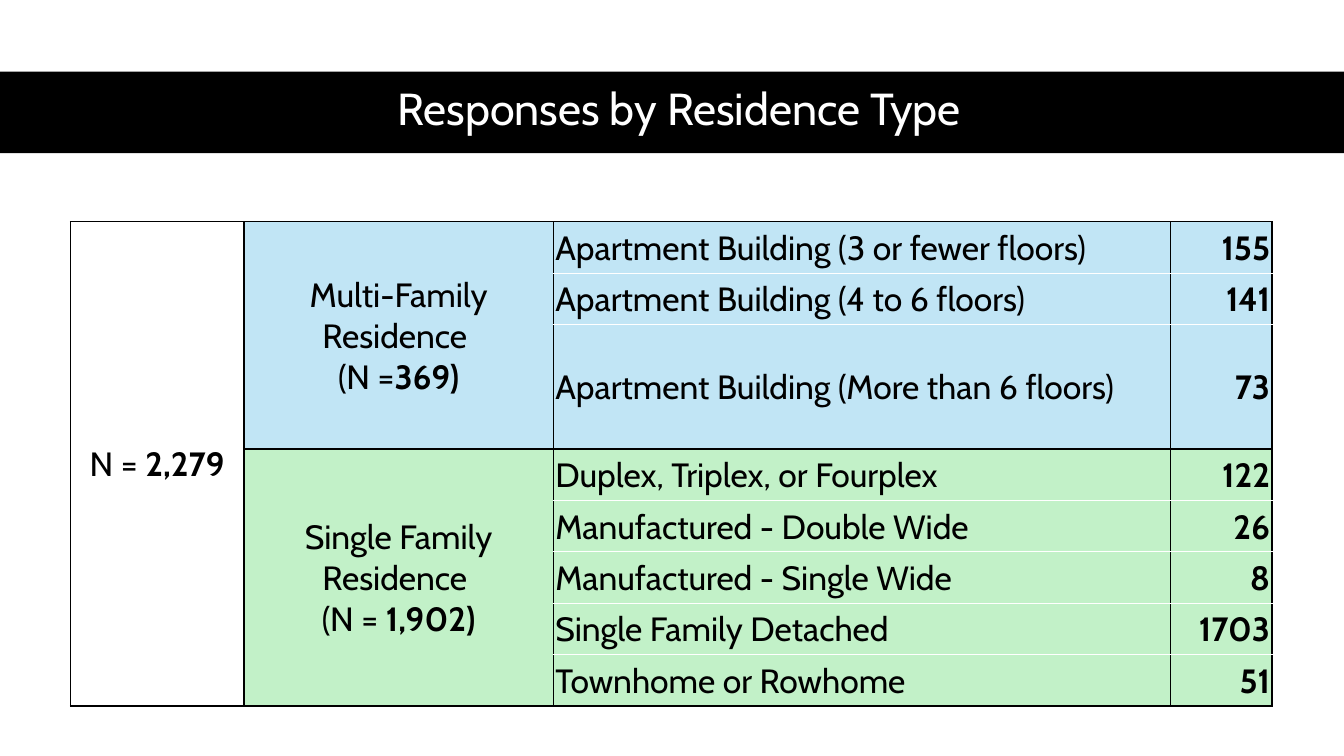
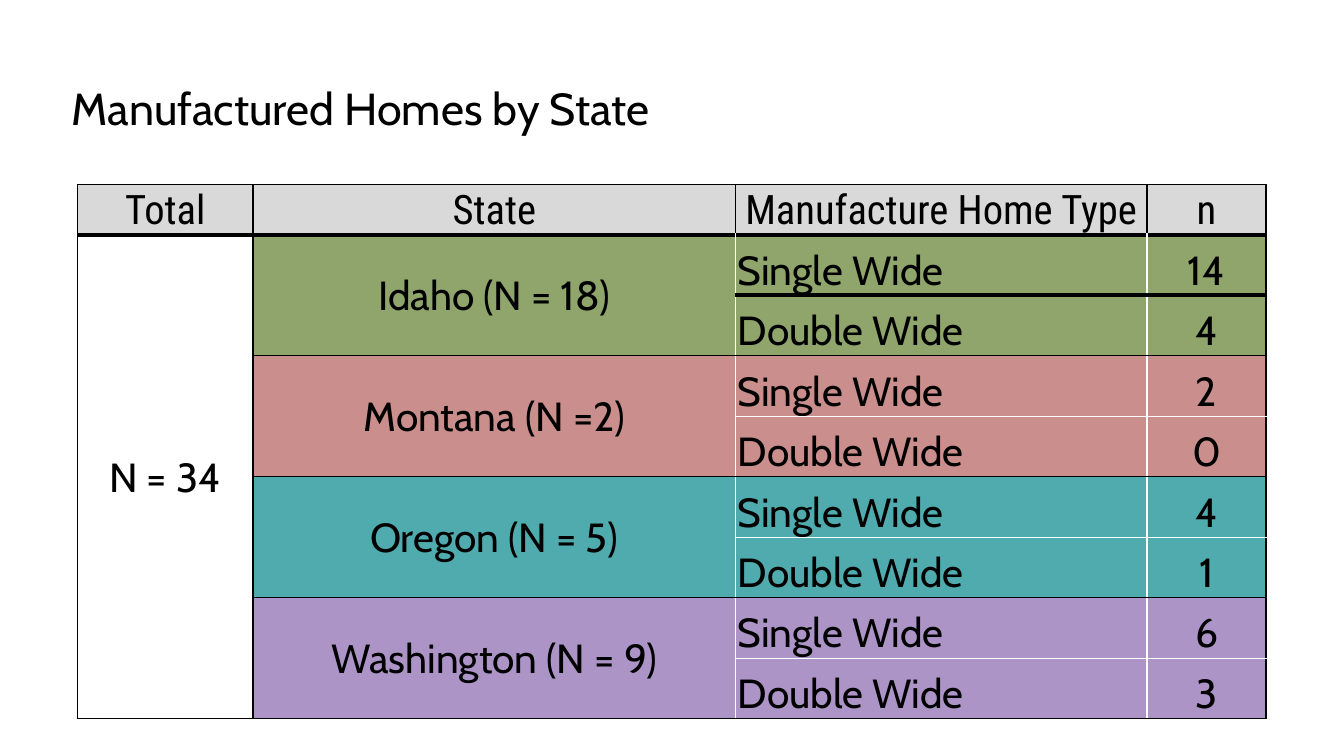
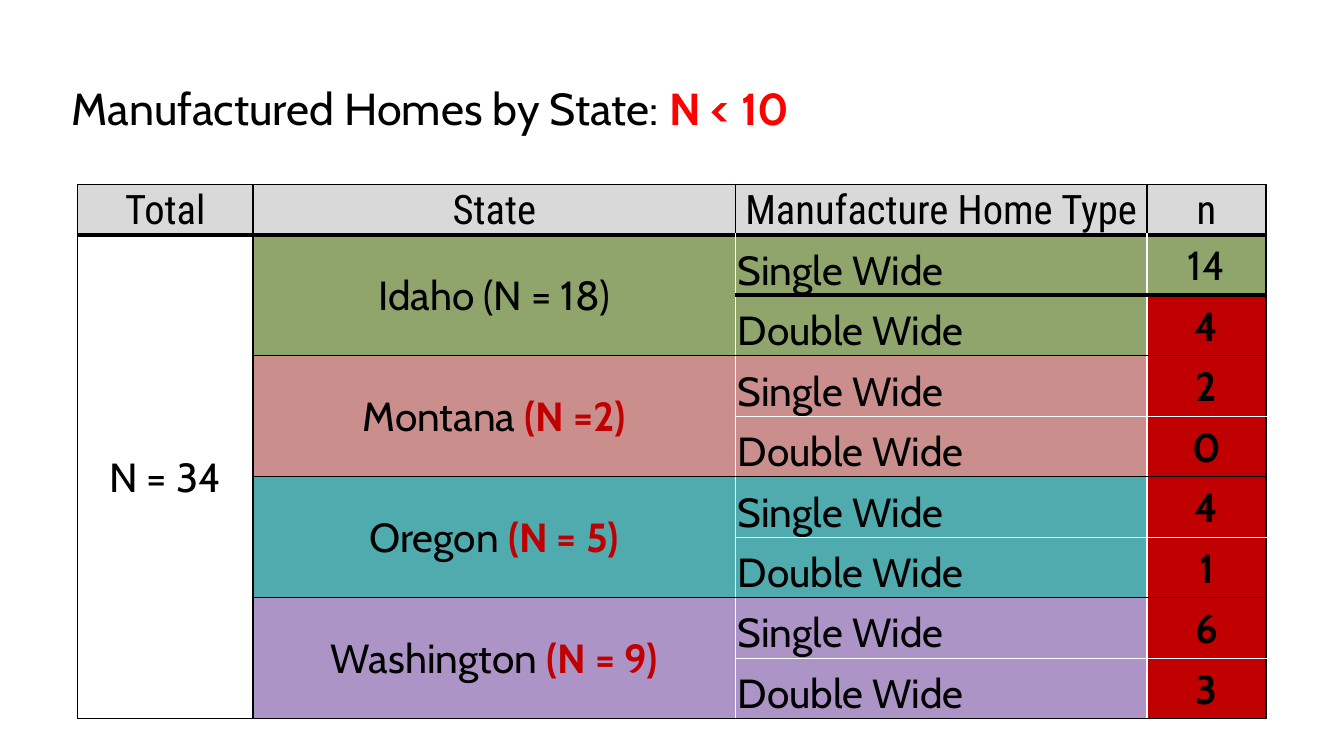
from dataclasses import dataclass

from lxml.etree import SubElement as sub
from pptx import Presentation
from pptx.dml.color import RGBColor as RGB
from pptx.enum.shapes import MSO_SHAPE as SHAPE
from pptx.enum.text import MSO_ANCHOR as ANCHOR, MSO_AUTO_SIZE as SIZE, PP_ALIGN as ALIGN
from pptx.oxml.ns import qn
from pptx.util import Inches, Pt

# Shared look: lengths are counted in grid units of a tenth of an inch
UNIT = Inches(0.1)
WIDE, HIGH = 133.33, 75
BAND = (0, 7.1, WIDE, 8.1)
HEAD = (6.1, 7, 122.6, 8.1)
COLOR = {
    "black": "000000", "white": "FFFFFF", "red": "FF0000", "dark": "C00000",
    "grey": "D9D9D9", "blue": "C1E5F5", "mint": "C2F1C8",
    "olive": "90A56C", "rose": "CA8F8C", "teal": "4FABAE", "plum": "AD94C7",
}
BODY, LABEL = "Cabin", "Roboto Condensed"
# Edge codes, given in the order left, right, top, bottom
LINE = {"k": ("black", 1), "K": ("black", 3), "w": ("white", 1)}
SIDES = ("a:lnL", "a:lnR", "a:lnT", "a:lnB")
INSET = {"margin_left": Inches(0.02), "margin_right": Inches(0.02),
         "margin_top": Inches(0.02), "margin_bottom": 0}


@dataclass
class Run:
    text: str
    bold: bool = False
    color: str = "black"


@dataclass
class Cell:
    row: int
    col: int
    lines: list[list[Run]]
    edges: str
    fill: str = ""
    span: int = 1
    align: ALIGN = ALIGN.CENTER
    anchor: ANCHOR = ANCHOR.MIDDLE
    font: str = BODY


@dataclass
class Grid:
    left: float
    top: float
    cols: list[float]
    rows: list[float]
    size: int
    cells: list[Cell]


@dataclass
class Group:
    name: list[list[Run]]
    fill: str
    items: list[tuple[str, int]]


def rgb(name: str) -> RGB:
    return RGB.from_string(COLOR[name])


def units(nums) -> list[int]:
    return [round(num * UNIT) for num in nums]


def write(para, runs: list[Run], size: int, font: str = BODY) -> None:
    for part in runs:
        run = para.add_run()
        run.text = part.text
        look = {"size": Pt(size), "name": font, "bold": part.bold}
        for key, val in look.items():
            setattr(run.font, key, val)
        run.font.color.rgb = rgb(part.color)


def edge(cell, codes: str) -> None:
    props = cell._tc.get_or_add_tcPr()
    for side, code in zip(SIDES, codes):
        name, width = LINE[code]
        line = sub(props, qn(side), w=str(Pt(width)))
        fill = sub(line, qn("a:solidFill"))
        sub(fill, qn("a:srgbClr"), val=COLOR[name])


def draw(slide, grid: Grid) -> None:
    box = units((grid.left, grid.top, sum(grid.cols), sum(grid.rows)))
    table = slide.shapes.add_table(len(grid.rows), len(grid.cols), *box).table
    table.first_row = table.horz_banding = False
    for col, width in zip(table.columns, units(grid.cols)):
        col.width = width
    for row, height in zip(table.rows, units(grid.rows)):
        row.height = height
    for item in grid.cells:
        cell = table.cell(item.row, item.col)
        if item.span > 1:
            cell.merge(table.cell(item.row + item.span - 1, item.col))
        for key, val in {**INSET, "vertical_anchor": item.anchor}.items():
            setattr(cell, key, val)
        edge(cell, item.edges)
        if item.fill:
            cell.fill.solid()
            cell.fill.fore_color.rgb = rgb(item.fill)
        else:
            cell.fill.background()
        frame = cell.text_frame
        for num, runs in enumerate(item.lines):
            para = frame.add_paragraph() if num else frame.paragraphs[0]
            para.alignment = item.align
            write(para, runs, grid.size, item.font)


def start(deck, runs: list[Run], band: bool = False):
    """Add a slide with its title, on a black band if asked."""
    slide = deck.slides.add_slide(deck.slide_layouts[5])
    title = slide.shapes.title
    for key, val in zip(("left", "top", "width", "height"), units(HEAD)):
        setattr(title, key, val)
    frame = title.text_frame
    for key, val in {"word_wrap": True, "auto_size": SIZE.NONE,
                     "vertical_anchor": ANCHOR.MIDDLE}.items():
        setattr(frame, key, val)
    para = frame.paragraphs[0]
    para.alignment = ALIGN.CENTER if band else ALIGN.LEFT
    para.line_spacing = 0.9
    write(para, runs, 32)
    if band:
        bar = slide.shapes.add_shape(SHAPE.RECTANGLE, *units(BAND))
        bar.shadow.inherit = False
        bar.fill.solid()
        bar.fill.fore_color.rgb = rgb("black")
        bar.line.fill.background()
        title._element.addprevious(bar._element)
    return slide


# Responses by type of residence
HOMES = [
    Group([[Run("Multi-Family Residence ")], [Run("(N ="), Run("369)", True)]], "blue", [
        ("Apartment Building (3 or fewer floors)", 155),
        ("Apartment Building (4 to 6 floors)", 141),
        ("Apartment Building (More than 6 floors)", 73),
    ]),
    Group([[Run("Single Family Residence ")], [Run("(N = "), Run("1,902)", True)]], "mint", [
        ("Duplex, Triplex, or Fourplex", 122),
        ("Manufactured - Double Wide", 26),
        ("Manufactured - Single Wide", 8),
        ("Single Family Detached", 1703),
        ("Townhome or Rowhome", 51),
    ]),
]


def homes() -> Grid:
    cells = [Cell(0, 0, [[Run("N = "), Run("2,279", True)]], "kkkk", span=8)]
    row = 0
    for group in HOMES:
        last = len(group.items) - 1
        cells.append(Cell(row, 1, group.name, "kkkk", group.fill, last + 1))
        for num, (kind, count) in enumerate(group.items):
            edges = "kk" + ("w" if num else "k") + ("k" if num == last else "w")
            cells += [
                Cell(row, 2, [[Run(kind)]], edges, group.fill, align=ALIGN.LEFT),
                Cell(row, 3, [[Run(str(count), True)]], edges, group.fill, align=ALIGN.RIGHT),
            ]
            row += 1
    rows = [5.1] * 2 + [12.3] + [5.1] * 5
    return Grid(7, 22, [17.2, 30.7, 61.2, 10.1], rows, 24, cells)


# Manufactured homes: state, total as written, fill, single and double wide
STATES = [
    ("Idaho ", "(N = 18)", "olive", (14, 4)),
    ("Montana ", "(N =2)", "rose", (2, 0)),
    ("Oregon ", "(N = 5)", "teal", (4, 1)),
    ("Washington ", "(N = 9)", "plum", (6, 3)),
]
HEADS = ("Total", "State", "Manufacture Home Type", "n")


def states(mark: bool) -> Grid:
    """Lay out the state table; mark sets off counts below ten."""
    cells = [Cell(0, col, [[Run(text)]], "kkkK", "grey", font=LABEL)
             for col, text in enumerate(HEADS)]
    cells.append(Cell(1, 0, [[Run("N = 34")]], "kkKk", span=8))
    for num, (state, total, fill, counts) in enumerate(STATES):
        row = 1 + 2 * num
        top, mid = "kw" if num else "KK"
        few = mark and sum(counts) < 10
        name = [Run(state), Run(total, few, "dark" if few else "black")]
        cells.append(Cell(row, 1, [name], f"kw{top}k", fill, 2))
        for step, (kind, count) in enumerate(zip(("Single Wide", "Double Wide"), counts)):
            ends = mid + "k" if step else top + mid
            low = mark and count < 10
            cells += [
                Cell(row + step, 2, [[Run(kind)]], "ww" + ends, fill,
                     align=ALIGN.LEFT, anchor=ANCHOR.BOTTOM),
                Cell(row + step, 3, [[Run(str(count), low)]], "wk" + ends,
                     "dark" if low else fill,
                     anchor=ANCHOR.MIDDLE if mark else ANCHOR.BOTTOM),
            ]
    return Grid(7.7, 18.3, [17.4, 47.9, 40.8, 11.8], [5] + [6] * 8, 29, cells)


def main() -> None:
    deck = Presentation()
    deck.slide_width, deck.slide_height = units((WIDE, HIGH))
    draw(start(deck, [Run("Responses by Residence Type", color="white")], True), homes())
    name = "Manufactured Homes by State"
    draw(start(deck, [Run(name)]), states(False))
    draw(start(deck, [Run(name + ": "), Run("N < 10", True, "red")]), states(True))
    deck.save("out.pptx")


if __name__ == "__main__":
    main()
